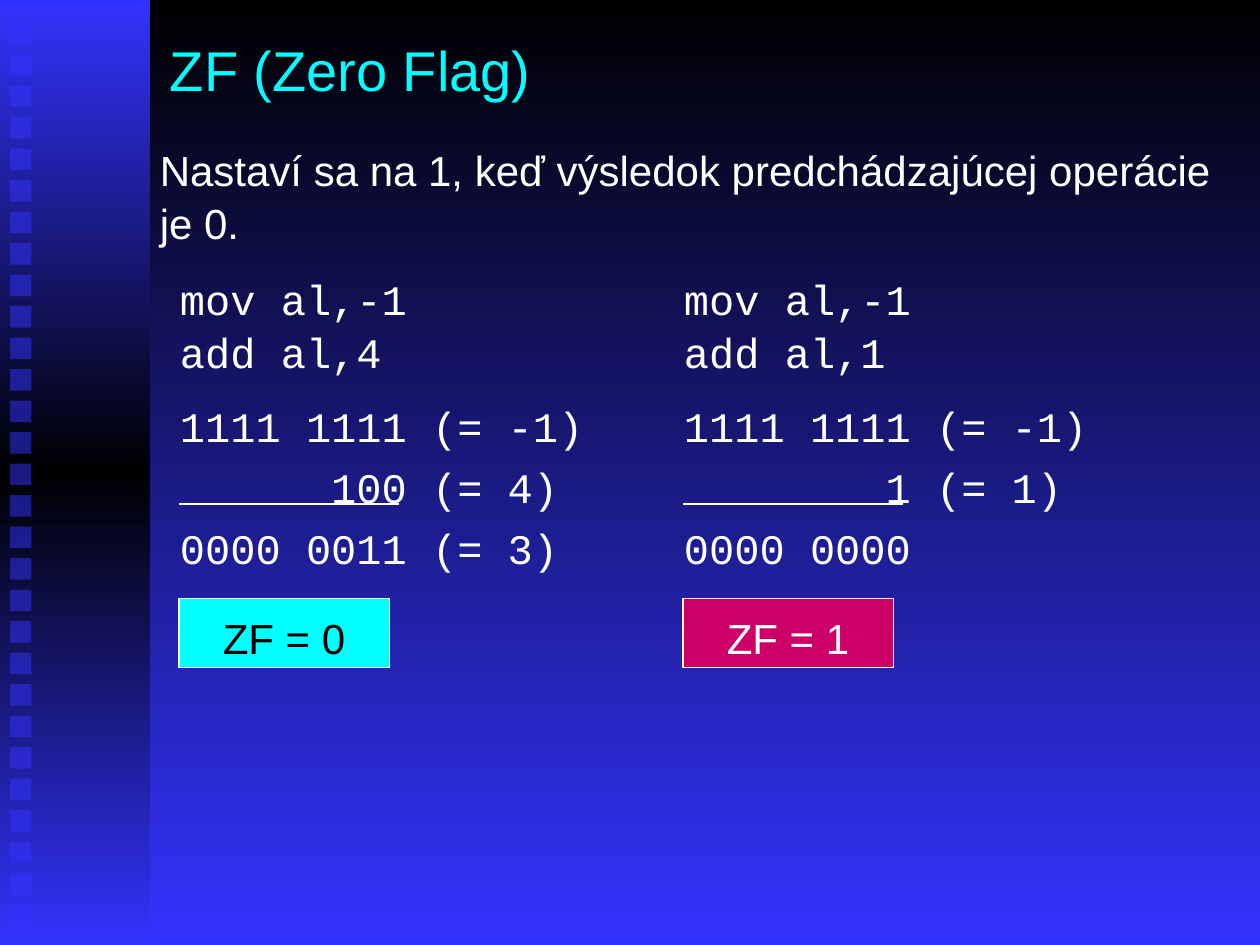
from lxml import etree
from pptx import Presentation
from pptx.dml.color import RGBColor
from pptx.enum import shapes, text
from pptx.oxml.ns import qn
from pptx.util import Inches, Pt

# Content
TITLE = "ZF (Zero Flag)"
RULE = "Nastaví sa na 1, keď výsledok predchádzajúcej operácie je 0."
# lines of each sum, flag label, box fill, label colour
SUMS = [
    (["mov al,-1\vadd al,4", "1111 1111 (= -1)", "      100 (= 4)",
      "0000 0011 (= 3)"], "ZF = 0", "00FFFF", "000000"),
    (["mov al,-1\vadd al,1", "1111 1111 (= -1)", "        1 (= 1)",
      "0000 0000"], "ZF = 1", "CC0066", "FFFFFF"),
]
GAPS = [0, 12, 4.8, 4.8]
BLUE, BLACK, WHITE, CYAN = "3333FF", "000000", "FFFFFF", "00FFFF"
WIDE, HIGH = 10, 7.5
COL, LEFT = 4, 1.33
DOTS, STEP, SIDE = 29, 0.25, 0.17

deck = Presentation()
deck.slide_width, deck.slide_height = Inches(WIDE), Inches(HIGH)
slide = deck.slides.add_slide(deck.slide_layouts[6])


def rgb(code):
    return RGBColor.from_string(code)


def shade(fill, codes):
    """Vertical gradient with evenly spaced stops."""
    fill.gradient()
    fill.gradient_angle = 270
    stops = fill._fill._gradFill.find(qn("a:gsLst"))
    for old in list(stops):
        stops.remove(old)
    for i, code in enumerate(codes):
        stop = etree.SubElement(stops, qn("a:gs"),
                                pos=str(100000 * i // (len(codes) - 1)))
        etree.SubElement(stop, qn("a:srgbClr"), val=code)


def rect(x, y, w, h):
    box = slide.shapes.add_shape(shapes.MSO_SHAPE.RECTANGLE,
                                 *map(Inches, (x, y, w, h)))
    box.shadow.inherit = False
    box.line.fill.background()
    return box


def write(box, paras, size, face, code, top=0.05, gaps=(0,), lead=1.05,
          align=text.PP_ALIGN.LEFT, anchor=text.MSO_ANCHOR.TOP):
    frame = box.text_frame
    frame.word_wrap = True
    frame.margin_top = Inches(top)
    frame.vertical_anchor = anchor
    for i, (line, gap) in enumerate(zip(paras, gaps)):
        para = frame.add_paragraph() if i else frame.paragraphs[0]
        para.text = line
        para.alignment = align
        para.line_spacing = lead
        para.space_before = Pt(gap)
        font = para.font
        font.size, font.name, font.color.rgb = Pt(size), face, rgb(code)


def label(x, y, w, h, *args, **opts):
    write(slide.shapes.add_textbox(*map(Inches, (x, y, w, h))), *args, **opts)


# Background and side band
shade(slide.background.fill, [BLACK, BLUE])
shade(rect(0, 0, 1.19, HIGH).fill, [BLUE, BLACK, BLUE])
for i in range(DOTS):
    dot = rect(0.08, 0.18 + i * STEP, SIDE, SIDE)
    dot.fill.solid()
    dot.fill.fore_color.rgb = rgb(BLUE)
    tint = dot.fill._xPr.find(".//" + qn("a:srgbClr"))
    etree.SubElement(tint, qn("a:alpha"), val="50000")

# Title and rule
label(1.25, 0.17, 8.5, 0.75, [TITLE], 32, "Arial", CYAN, lead=1,
      anchor=text.MSO_ANCHOR.MIDDLE)
label(1.17, 1.08, 8.83, 0.9, [RULE], 24, "Arial", WHITE)

# One column per sum: code, sum line, flag box
for i, (lines, flag, back, ink) in enumerate(SUMS):
    x = LEFT + i * COL
    edge = x + 0.09
    label(x, 2, 4.08, 2.52, lines, 24, "Courier New", WHITE, top=0.15,
          gaps=GAPS)
    bar = slide.shapes.add_connector(
        shapes.MSO_CONNECTOR.STRAIGHT,
        *map(Inches, (edge, 4, edge + 1.75, 4)))
    bar.line.color.rgb, bar.line.width = rgb(WHITE), Pt(0.75)
    etree.SubElement(bar._element.spPr, qn("a:effectLst"))
    box = rect(edge, 4.75, 1.67, 0.55)
    box.fill.solid()
    box.fill.fore_color.rgb = rgb(back)
    box.line.color.rgb, box.line.width = rgb(WHITE), Pt(0.75)
    write(box, [flag], 24, "Arial", ink, top=0.09,
          align=text.PP_ALIGN.CENTER)

deck.save("out.pptx")
